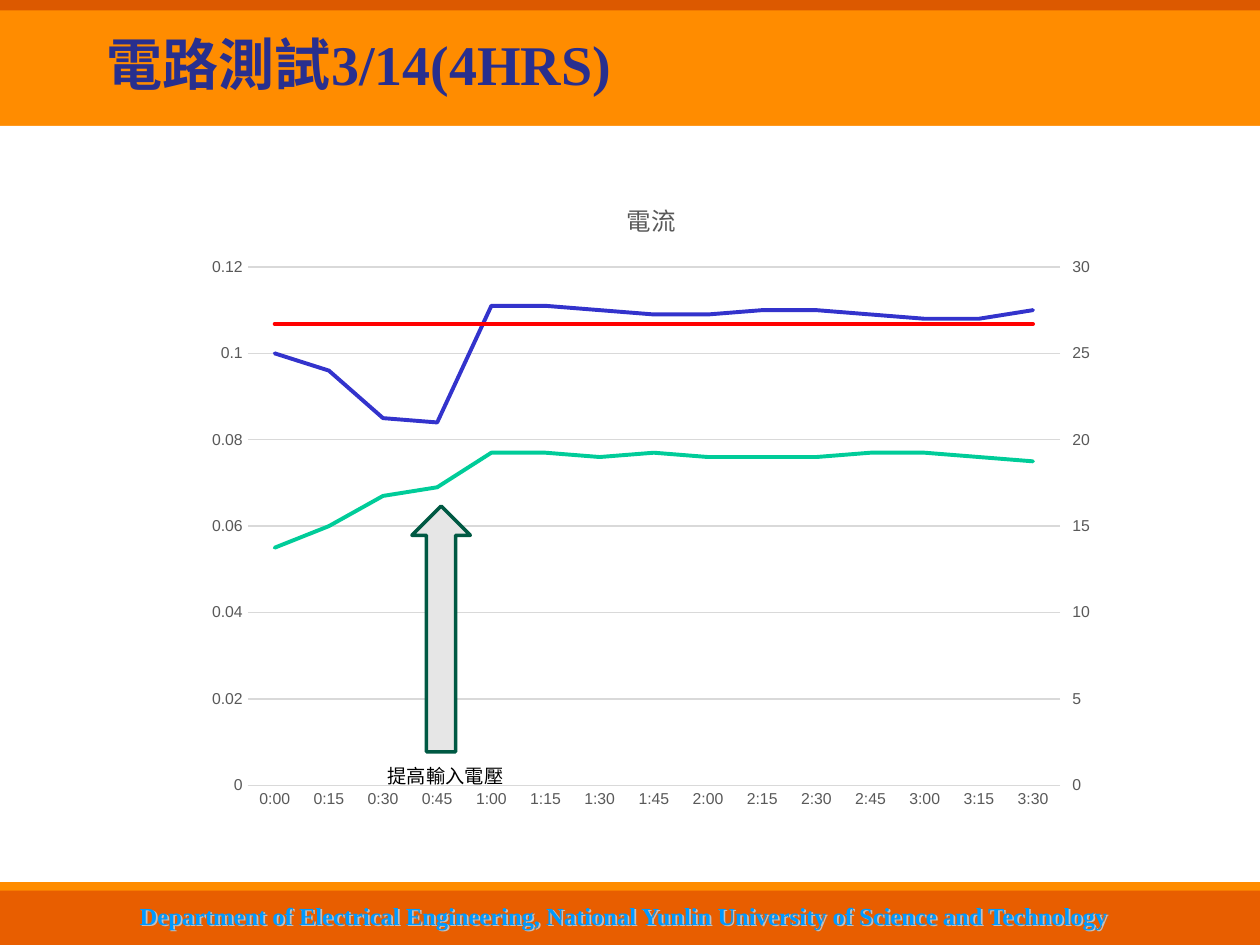
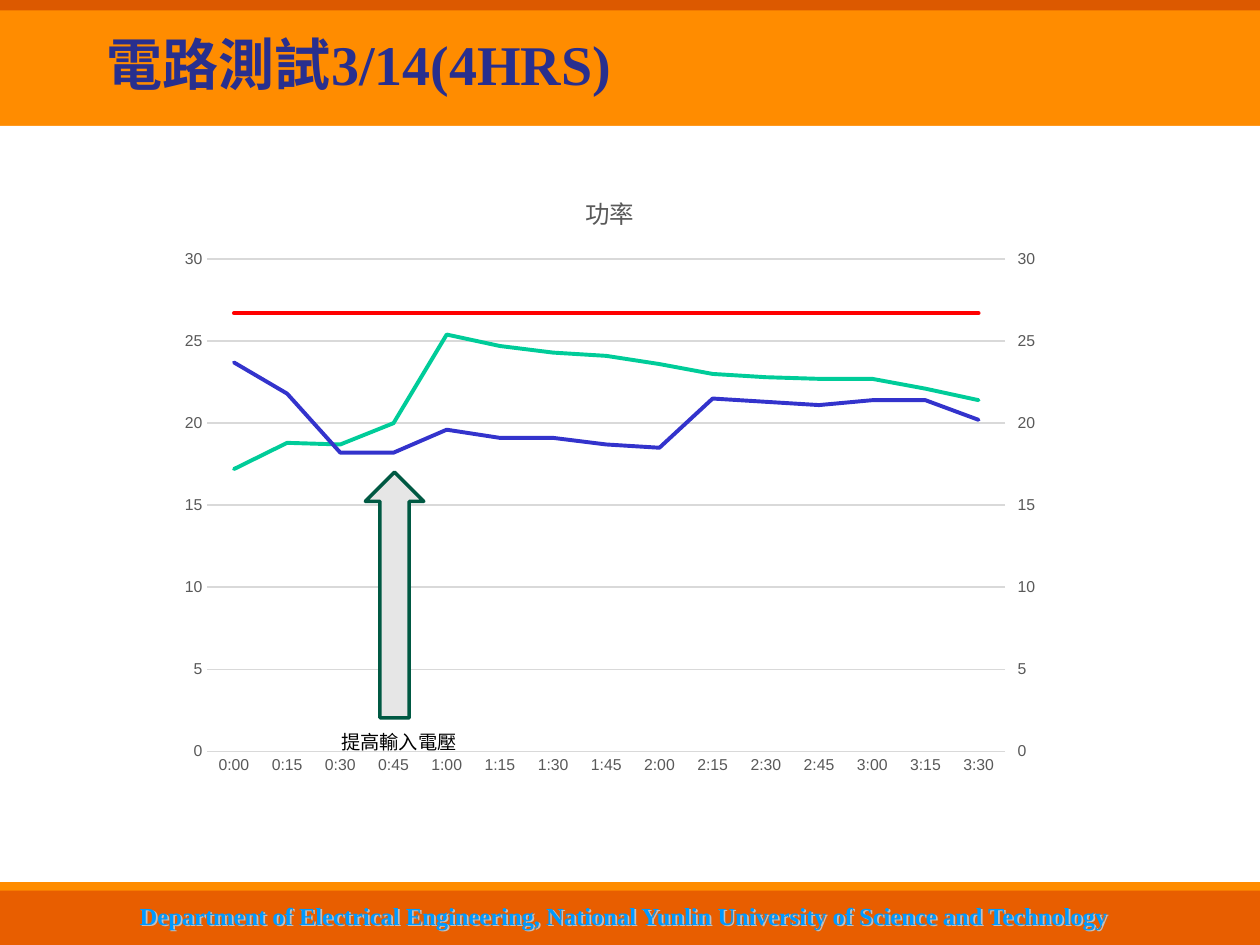
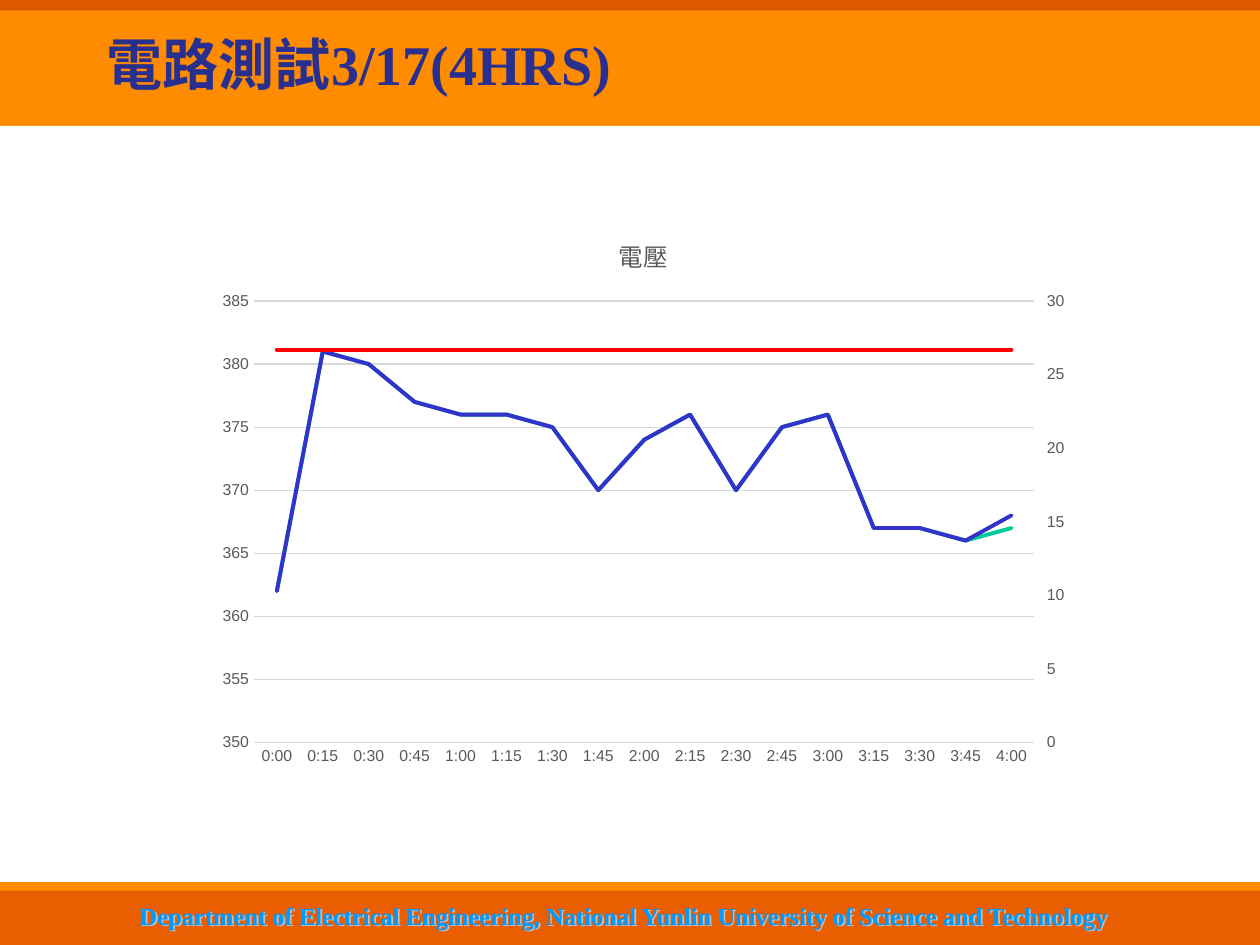
from copy import deepcopy

from lxml.etree import SubElement
from pptx import Presentation
from pptx.chart.data import CategoryChartData
from pptx.dml.color import RGBColor
from pptx.enum.chart import XL_CHART_TYPE, XL_TICK_MARK
from pptx.enum.shapes import MSO_SHAPE
from pptx.enum.text import MSO_ANCHOR, PP_ALIGN
from pptx.oxml.ns import qn
from pptx.util import Pt

COLORS = {
    "header": "FF8C00", "top_edge": "DC5900", "page": "FFFFFF", "footer": "E85E00",
    "title": "282F8E", "department": "0099FF", "footer_shadow": "C0C0C0",
    "label": "000000", "axis_text": "595959", "grid": "D9D9D9",
    "arrow": "E6E6E6", "arrow_edge": "005943",
}
SERIES_COLORS = ["00CC99", "3333CC", "FF0000"]
BANDS = [
    ("header", (0, 1.5, 720, 538.5)),
    ("top_edge", (0, 0, 720, 6)),
    ("page", (0, 72, 720, 432)),
    ("footer", (0, 509, 720, 31)),
]
DEPARTMENT = "Department of Electrical Engineering, National Yunlin University of Science and Technology"
REFERENCE_LEVEL = 26.7

TESTS = [
    {
        "title": "電路測試3/14(4HRS)", "quantity": "電流",
        "frame": (110.7, 100.1, 522.7, 369.4), "scale": (0, 0.12, 0.02),
        "arrow_at": (235.4, 289.2),
        "readings": [
            [0.055, 0.06, 0.067, 0.069, 0.077, 0.077, 0.076, 0.077,
             0.076, 0.076, 0.076, 0.077, 0.077, 0.076, 0.075],
            [0.1, 0.096, 0.085, 0.084, 0.111, 0.111, 0.11, 0.109,
             0.109, 0.11, 0.11, 0.109, 0.108, 0.108, 0.11],
        ],
    },
    {
        "title": "電路測試3/14(4HRS)", "quantity": "功率",
        "frame": (95.5, 96.2, 506.2, 353.5), "scale": (0, 30, 5),
        "arrow_at": (208.8, 269.8),
        "readings": [
            [17.2, 18.8, 18.7, 20, 25.4, 24.7, 24.3, 24.1,
             23.6, 23, 22.8, 22.7, 22.7, 22.1, 21.4],
            [23.7, 21.8, 18.2, 18.2, 19.6, 19.1, 19.1, 18.7,
             18.5, 21.5, 21.3, 21.1, 21.4, 21.4, 20.2],
        ],
    },
    {
        "title": "電路測試3/17(4HRS)", "quantity": "電壓",
        "frame": (117.2, 121.4, 501.1, 322.6), "scale": (350, 385, 5),
        "arrow_at": None,
        "readings": [
            [362, 381, 380, 377, 376, 376, 375, 370, 374,
             376, 370, 375, 376, 367, 367, 366, 367],
            [362, 381, 380, 377, 376, 376, 375, 370, 374,
             376, 370, 375, 376, 367, 367, 366, 368],
        ],
    },
]


def add_text(slide, text, box, size, color, font="Times New Roman", bold=False,
             align=PP_ALIGN.LEFT, anchor=MSO_ANCHOR.MIDDLE, shadow=None):
    text_box = slide.shapes.add_textbox(*map(Pt, box))
    if shadow:
        effects = SubElement(text_box.element.spPr, qn("a:effectLst"))
        outer = SubElement(effects, qn("a:outerShdw"), dist="17961", dir="2700000")
        SubElement(outer, qn("a:srgbClr"), val=shadow)
    frame = text_box.text_frame
    frame.word_wrap = True
    frame.vertical_anchor = anchor
    paragraph = frame.paragraphs[0]
    paragraph.alignment = align
    run = paragraph.add_run()
    run.text = text
    run.font.size = Pt(size)
    run.font.bold = bold
    run.font.name = font
    run.font.color.rgb = RGBColor.from_string(color)


def move_last_series_to_right_axis(chart, low, high, step):
    plot_area = chart.element.find(".//" + qn("c:plotArea"))
    left_lines = plot_area.find(qn("c:lineChart"))
    right_lines = deepcopy(left_lines)
    left_lines.remove(left_lines.findall(qn("c:ser"))[-1])
    for series in right_lines.findall(qn("c:ser"))[:-1]:
        right_lines.remove(series)
    left_lines.addnext(right_lines)

    categories = deepcopy(plot_area.find(qn("c:catAx")))
    values = deepcopy(plot_area.find(qn("c:valAx")))
    values.remove(values.find(qn("c:majorGridlines")))
    category_id, value_id = "50010", "50020"
    for axis_id, new_id in zip(right_lines.findall(qn("c:axId")), (category_id, value_id)):
        axis_id.set("val", new_id)
    for axis, settings in (
        (values, {"axId": value_id, "crossAx": category_id, "axPos": "r", "crosses": "max",
                  "majorTickMark": "out", "majorUnit": step,
                  "scaling/c:min": low, "scaling/c:max": high}),
        (categories, {"axId": category_id, "crossAx": value_id, "delete": 1}),
    ):
        for tag, value in settings.items():
            parts = [qn("c:" + part) for part in tag.split("/c:")]
            axis.find("/".join(parts)).set("val", str(value))
    plot_area.find(qn("c:valAx")).addnext(values)
    values.addnext(categories)


prs = Presentation()
prs.slide_width, prs.slide_height = Pt(720), Pt(540)

for test in TESTS:
    slide = prs.slides.add_slide(prs.slide_layouts[6])
    for band_color, box in BANDS:
        band = slide.shapes.add_shape(MSO_SHAPE.RECTANGLE, *map(Pt, box))
        band.shadow.inherit = False
        band.fill.solid()
        band.fill.fore_color.rgb = RGBColor.from_string(COLORS[band_color])
        band.line.fill.background()
    add_text(slide, DEPARTMENT, (64.8, 511.2, 584, 23.8), 14, COLORS["department"],
             bold=True, align=PP_ALIGN.CENTER, shadow=COLORS["footer_shadow"])
    add_text(slide, test["title"], (54, 0, 589.7, 72), 32, COLORS["title"], bold=True)

    # Readings every 15 minutes, with the reference level on the right axis
    count = len(test["readings"][0])
    data = CategoryChartData()
    data.categories = [f"{m // 60}:{m % 60:02d}" for m in range(0, 15 * count, 15)]
    for number, reading in enumerate(test["readings"] + [[REFERENCE_LEVEL] * count], 1):
        data.add_series(f"Series {number}", reading)
    chart = slide.shapes.add_chart(XL_CHART_TYPE.LINE, *map(Pt, test["frame"]), data).chart
    chart.has_legend = False
    chart.font.size = Pt(10)
    chart.font.name = "Arial"
    chart.has_title = True
    chart.chart_title.include_in_layout = False
    heading = chart.chart_title.text_frame
    heading.text = test["quantity"]
    heading_font = heading.paragraphs[0].runs[0].font
    heading_font.size = Pt(14)
    heading_font.bold = False
    heading_font.name = "Arial"
    heading_font.color.rgb = RGBColor.from_string(COLORS["axis_text"])

    chart.plots[0].vary_by_categories = False
    for series, color in zip(chart.plots[0].series, SERIES_COLORS):
        series.smooth = False
        series.format.line.width = Pt(2.25)
        series.format.line.color.rgb = RGBColor.from_string(color)
    for line in chart.element.iter(qn("a:ln")):
        line.set("cap", "rnd")

    for axis in (chart.category_axis, chart.value_axis):
        axis.major_tick_mark = axis.minor_tick_mark = XL_TICK_MARK.NONE
        axis.tick_labels.font.size = Pt(9)
        axis.tick_labels.font.name = "Arial"
        axis.tick_labels.font.color.rgb = RGBColor.from_string(COLORS["axis_text"])
    values = chart.value_axis
    values.minimum_scale, values.maximum_scale, values.major_unit = test["scale"]
    values.has_major_gridlines = True
    values.format.line.fill.background()
    for line in (chart.category_axis.format.line, values.major_gridlines.format.line):
        line.width = Pt(0.75)
        line.color.rgb = RGBColor.from_string(COLORS["grid"])
    move_last_series_to_right_axis(chart, 0, 30, 5)

    if test["arrow_at"]:
        left, top = test["arrow_at"]
        arrow = slide.shapes.add_shape(MSO_SHAPE.UP_ARROW, Pt(left), Pt(top), Pt(33.4), Pt(140.4))
        arrow.shadow.inherit = False
        arrow.fill.solid()
        arrow.fill.fore_color.rgb = RGBColor.from_string(COLORS["arrow"])
        arrow.line.width = Pt(2)
        arrow.line.color.rgb = RGBColor.from_string(COLORS["arrow_edge"])
        add_text(slide, "提高輸入電壓", (left - 21, top + 144, 84, 72), 11, COLORS["label"],
                 font="Arial", anchor=MSO_ANCHOR.TOP)

prs.save("out.pptx")
